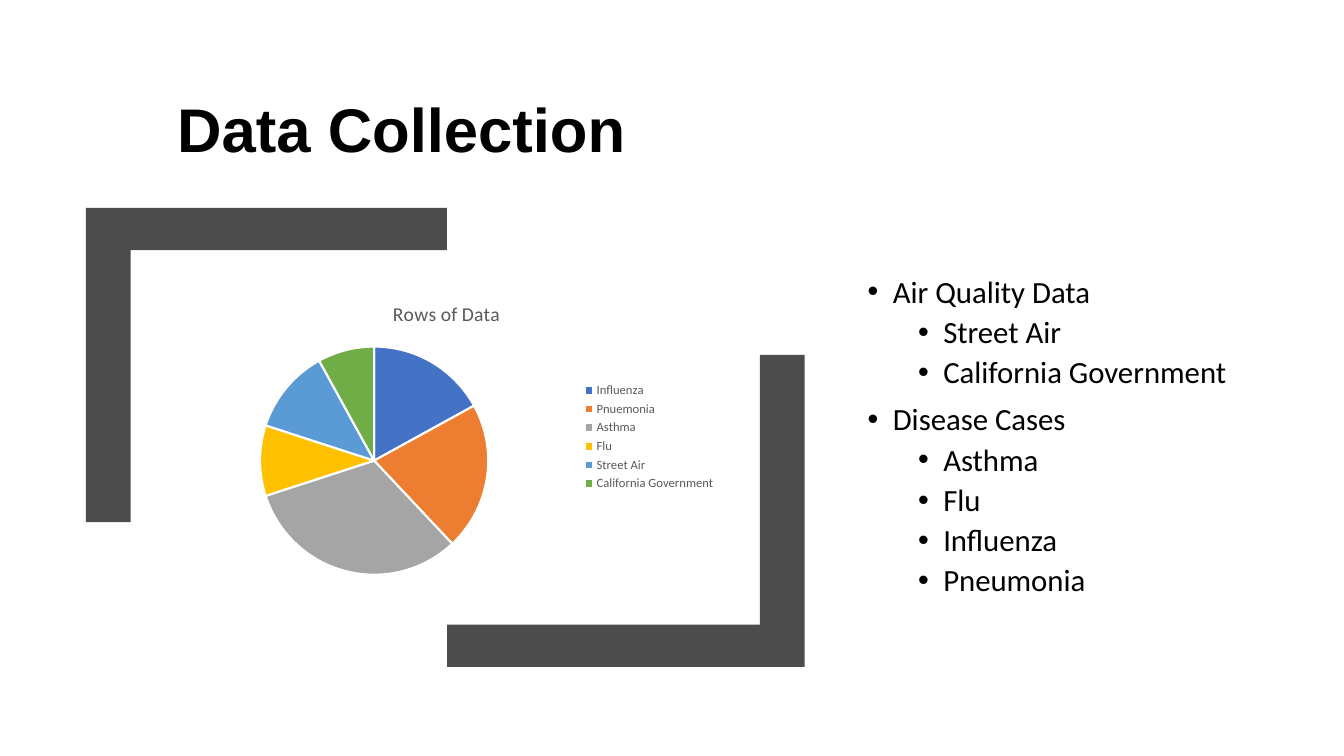
from pptx import Presentation
from pptx.chart.data import CategoryChartData as PieData
from pptx.dml.color import RGBColor as Rgb
from pptx.enum.chart import XL_CHART_TYPE as Kind, XL_LEGEND_POSITION as Side
from pptx.enum.text import MSO_ANCHOR as Anchor
from pptx.oxml.xmlchemy import OxmlElement as Node
from pptx.util import Pt

COLORS = {
    "text": "000000",
    "label": "595959",
    "frame": "4C4C4C",
    "white": "FFFFFF",
}
ROWS = [
    ("Influenza", 17, "4472C4"),
    ("Pnuemonia", 21, "ED7D31"),
    ("Asthma", 32, "A5A5A5"),
    ("Flu", 10, "FFC000"),
    ("Street Air", 12, "5B9BD5"),
    ("California Government", 8, "70AD47"),
]
TOPICS = [
    ("Air Quality Data", ["Street Air", "California Government"]),
    ("Disease Cases", ["Asthma", "Flu", "Influenza", "Pneumonia"]),
]


def set_font(font, size, color, name="Calibri", bold=False):
    font.size = Pt(size)
    font.name = name
    font.bold = bold
    font.color.rgb = Rgb.from_string(color)


def add_box(slide, area, anchor):
    frame = slide.shapes.add_textbox(*map(Pt, area)).text_frame
    frame.word_wrap = True
    frame.vertical_anchor = anchor
    return frame


def add_title(slide, text):
    frame = add_box(slide, (119.5, 40.3, 779, 81.4), Anchor.BOTTOM)
    para = frame.paragraphs[0]
    para.text = text
    para.line_spacing = 0.9
    set_font(para.font, 44, COLORS["text"], "Arial", True)


def add_corner(slide, points):
    points = [(Pt(x), Pt(y)) for x, y in points]
    build = slide.shapes.build_freeform(*points[0])
    build.add_line_segments(points[1:])
    shape = build.convert_to_shape()
    shape.shadow.inherit = False
    shape.fill.solid()
    shape.fill.fore_color.rgb = Rgb.from_string(COLORS["frame"])
    shape.line.fill.background()


def add_bullet(para, text, level):
    para.text = text
    para.level = level
    para.line_spacing = 0.9
    props = para._p.get_or_add_pPr()
    props.set("marL", str(Pt(18 + 36 * level)))
    props.set("indent", str(Pt(-18)))
    face = Node("a:buFont")
    face.set("typeface", "Arial")
    mark = Node("a:buChar")
    mark.set("char", "•")
    props.extend([face, mark])
    set_font(para.font, 22, COLORS["text"])


def add_topics(slide, topics):
    frame = add_box(slide, (612.7, 179.3, 285.8, 266.4), Anchor.MIDDLE)
    lines = []
    for topic, items in topics:
        lines += [(topic, 0)] + [(item, 1) for item in items]
    for index, (text, level) in enumerate(lines):
        para = frame.add_paragraph() if index else frame.paragraphs[0]
        add_bullet(para, text, level)
        para.space_before = Pt((5 if level else 10) if index else 0)


def add_pie(slide, title, rows):
    data = PieData()
    data.categories = [name for name, _, _ in rows]
    data.add_series(title, [value for _, value, _ in rows])
    area = map(Pt, (119.5, 203.8, 398.9, 216.7))
    chart = slide.shapes.add_chart(Kind.PIE, *area, data).chart
    set_font(chart.font, 10, COLORS["text"])
    chart.has_title = True
    para = chart.chart_title.text_frame.paragraphs[0]
    para.text = title
    set_font(para.font, 14, COLORS["label"])
    chart.chart_title.include_in_layout = False
    chart.has_legend = True
    chart.legend.position = Side.RIGHT
    chart.legend.include_in_layout = False
    set_font(chart.legend.font, 9, COLORS["label"])
    plot = chart.plots[0]
    plot.vary_by_categories = True
    for index, (_, _, color) in enumerate(rows):
        style = plot.series[0].points[index].format
        style.fill.solid()
        style.fill.fore_color.rgb = Rgb.from_string(color)
        style.line.width = Pt(1.5)
        style.line.color.rgb = Rgb.from_string(COLORS["white"])


def main():
    deck = Presentation()
    deck.slide_width, deck.slide_height = Pt(960), Pt(540)
    slide = deck.slides.add_slide(deck.slide_layouts[6])
    add_title(slide, "Data Collection")
    add_corner(slide, [(61.4, 148.4), (319.3, 148.4), (319.3, 178.6),
                       (93.4, 178.6), (93.4, 373), (61.4, 373)])
    add_corner(slide, [(542.8, 253.5), (574.8, 253.5), (574.8, 476.4),
                       (319.3, 476.4), (319.3, 446.2), (542.8, 446.2)])
    add_topics(slide, TOPICS)
    add_pie(slide, "Rows of Data", ROWS)
    deck.save("out.pptx")


if __name__ == "__main__":
    main()
